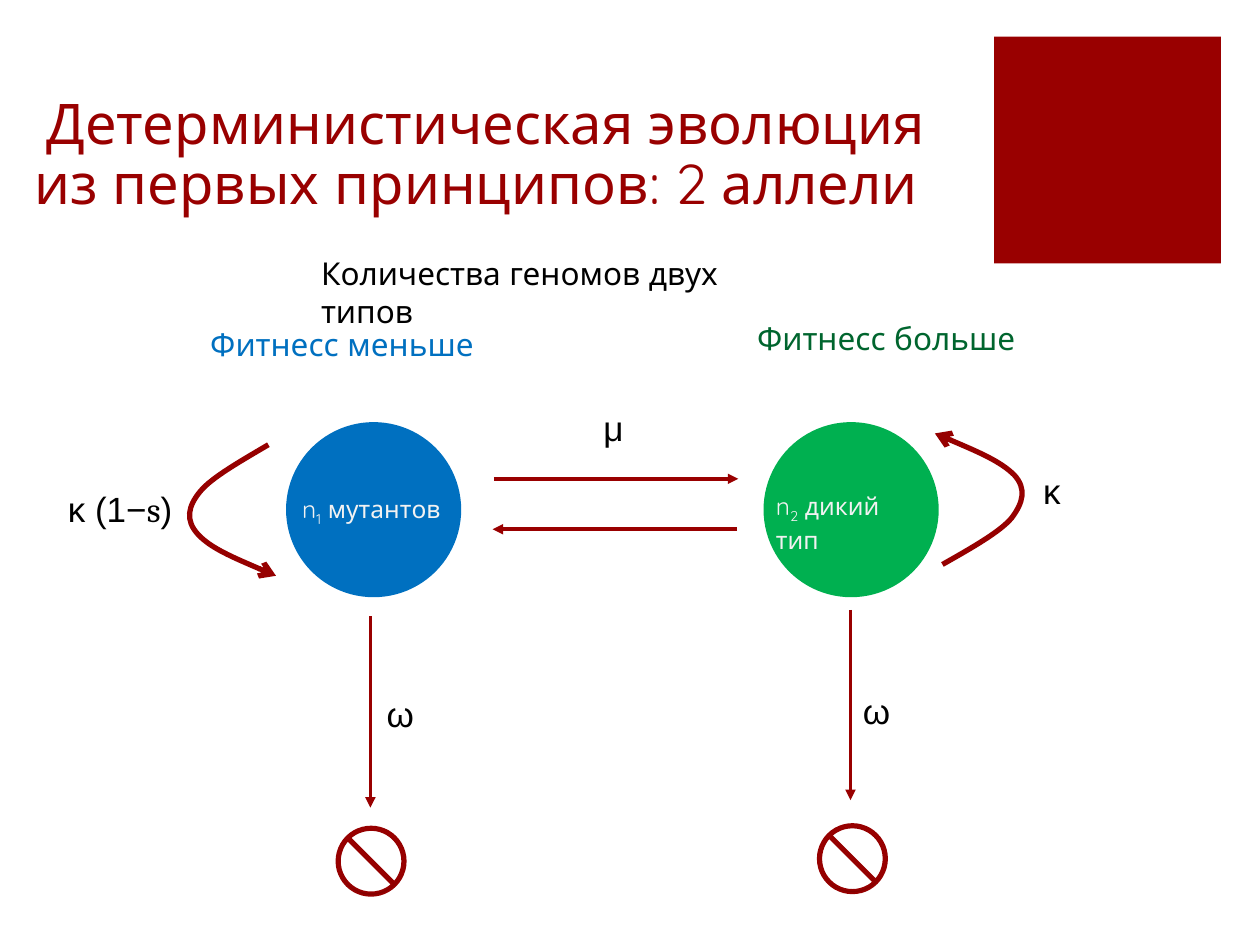
from typing import NamedTuple

from lxml import etree
from pptx import Presentation
from pptx.dml.color import RGBColor
from pptx.enum import shapes, text
from pptx.oxml.ns import qn
from pptx.util import Inches, Pt

HEX = {"red": "990000", "dark": "960000", "deep": "830000", "blue": "0070C0",
       "green": "00B050", "forest": "00652E", "black": "000000",
       "pale": "F2F2F2"}
KIND = shapes.MSO_SHAPE


class Run(NamedTuple):
    words: str
    font: str = ""
    base: int = 0


class Label(NamedTuple):
    box: tuple
    runs: list
    size: int
    color: str
    font: str


class Arrow(NamedTuple):
    start: tuple
    end: tuple


class Disc(NamedTuple):
    left: float
    color: str


HEAD, SMALL, SIGN = (18, "Quicksand"), (14, "Quicksand"), (20, "Arial")

LABELS = [
    Label((1.57, 2.53, 2.45, 0.4), [Run("Фитнесс меньше")],
          HEAD[0], "blue", HEAD[1]),
    Label((5.91, 2.48, 2.38, 0.4), [Run("Фитнесс больше")],
          HEAD[0], "forest", HEAD[1]),
    Label((2.45, 1.97, 4.1, 0.4), [Run("Количества геномов двух типов")],
          HEAD[0], "black", HEAD[1]),
    Label((2.3, 3.87, 1.35, 0.34),
          [Run("n"), Run("1", base=-25), Run(" мутантов")],
          SMALL[0], "pale", SMALL[1]),
    Label((6.06, 3.85, 1.4, 0.34),
          [Run("n"), Run("2", base=-25), Run(" дикий тип")],
          SMALL[0], "pale", SMALL[1]),
    Label((0.44, 3.82, 1.08, 0.44),
          [Run("κ (1−"), Run("s", "Cambria"), Run(")")],
          SIGN[0], "black", SIGN[1]),
] + [
    Label(box, [Run(sign)], SIGN[0], "black", SIGN[1])
    for sign, box in [("μ", (4.69, 3.18, 0.43, 0.44)),
                      ("ω", (6.75, 5.42, 0.7, 0.44)),
                      ("ω", (2.97, 5.45, 0.7, 0.44)),
                      ("κ", (8.18, 3.68, 0.36, 0.44))]
]
ARROWS = [Arrow((3.92, 3.8), (5.86, 3.8)), Arrow((5.85, 4.2), (3.91, 4.2)),
          Arrow((2.94, 4.89), (2.94, 6.41)), Arrow((6.75, 4.84), (6.75, 6.35))]
DISCS = [Disc(2.27, "blue"), Disc(6.06, "green")]
STOPS = [(2.67, 6.56), (6.49, 6.54)]
# Each loop: a start point, then three points for every Bézier segment.
LOOPS = [
    [(7.42, 3.44), (7.68, 3.55), (7.94, 3.66), (8.05, 3.77), (8.15, 3.88),
     (8.12, 3.99), (8.03, 4.11), (7.94, 4.22), (7.71, 4.35), (7.48, 4.48)],
    [(2.19, 4.57), (1.93, 4.46), (1.67, 4.35), (1.57, 4.24), (1.47, 4.13),
     (1.49, 4.02), (1.59, 3.9), (1.68, 3.79), (1.91, 3.66), (2.13, 3.53)],
]


def rgb(name: str) -> RGBColor:
    return RGBColor.from_string(HEX[name])


def write(frame, runs: list, *, size: int, color: str, font: str):
    """Fill the first paragraph of a text frame and return it."""
    frame.word_wrap = True
    para = frame.paragraphs[0]
    para.alignment = text.PP_ALIGN.LEFT
    for item in runs:
        run = para.add_run()
        run.text = item.words
        run.font.name = item.font or font
        run.font.size = Pt(size)
        run.font.color.rgb = rgb(color)
        if item.base:
            run.font._element.set("baseline", str(item.base * 1000))
    return para


def add_title(slide) -> None:
    title = slide.shapes.title
    title.left, title.top = Inches(0.17), Inches(0.45)
    title.width, title.height = Inches(7.88), Inches(1.87)
    frame = title.text_frame
    frame.auto_size = text.MSO_AUTO_SIZE.NONE
    frame.vertical_anchor = text.MSO_ANCHOR.BOTTOM
    frame.margin_bottom = Inches(0.6)
    frame.margin_right = Inches(0.2)
    words = "Детерминистическая эволюция из первых принципов: 2 аллели"
    para = write(frame, [Run(words)], size=32, color="red", font="Quicksand")
    para.line_spacing = 0.9
    para._p.get_or_add_pPr().set("indent", str(Inches(0.1)))


def add_label(slide, label: Label) -> None:
    box = slide.shapes.add_textbox(*map(Inches, label.box))
    write(box.text_frame, label.runs, size=label.size, color=label.color,
          font=label.font)
    box.text_frame.auto_size = text.MSO_AUTO_SIZE.SHAPE_TO_FIT_TEXT


def add_solid(slide, kind, left: float, top: float, side: float, color: str):
    shape = slide.shapes.add_shape(kind, *map(Inches, (left, top, side, side)))
    shape.shadow.inherit = False
    shape.fill.solid()
    shape.fill.fore_color.rgb = rgb(color)
    shape.line.fill.background()
    return shape


def add_stop(slide, left: float, top: float) -> None:
    sign = add_solid(slide, KIND.NO_SYMBOL, left, top, 0.55, "red")
    sign.adjustments[0] = 0.05
    sign.fill.gradient()
    sign.fill.gradient_angle = 90
    for stop, (spot, color) in zip(sign.fill.gradient_stops,
                                   [(0, "deep"), (0.35, "red")]):
        stop.position = spot
        stop.color.rgb = rgb(color)
    sign.line.color.rgb = rgb("dark")
    sign.line.width = Pt(1)


def set_line(shape, color: str, width: float, end: str, kind: str) -> None:
    """Style a line and put an arrowhead on its headEnd or tailEnd."""
    shape.line.color.rgb = rgb(color)
    shape.line.width = Pt(width)
    etree.SubElement(shape.line._get_or_add_ln(), qn("a:" + end), type=kind)


def add_arrow(slide, arrow: Arrow) -> None:
    line = slide.shapes.add_connector(
        shapes.MSO_CONNECTOR.STRAIGHT,
        *map(Inches, arrow.start + arrow.end))
    set_line(line, "red", 2, "tailEnd", "triangle")
    etree.SubElement(line._element.spPr, qn("a:effectLst"))


def add_loop(slide, points: list) -> None:
    """Draw an open curve, joining straight steps by threes into Béziers."""
    first, *rest = [tuple(map(Inches, spot)) for spot in points]
    maker = slide.shapes.build_freeform(*first)
    maker.add_line_segments(rest, close=False)
    curve = maker.convert_to_shape()
    steps = list(curve._element.iter(qn("a:lnTo")))
    for i in range(0, len(steps), 3):
        bend = etree.Element(qn("a:cubicBezTo"))
        steps[i].addprevious(bend)
        for step in steps[i:i + 3]:
            bend.append(step[0])
            step.getparent().remove(step)
    curve.shadow.inherit = False
    curve.fill.background()
    set_line(curve, "dark", 3, "headEnd", "arrow")


def main() -> None:
    deck = Presentation()
    deck.slide_width, deck.slide_height = Inches(10), Inches(7.5)
    slide = deck.slides.add_slide(deck.slide_layouts[5])
    add_solid(slide, KIND.RECTANGLE, 7.89, 0.29, 1.8, "red")
    add_title(slide)
    for disc in DISCS:
        add_solid(slide, KIND.OVAL, disc.left, 3.35, 1.39, disc.color)
    for arrow in ARROWS:
        add_arrow(slide, arrow)
    for loop in LOOPS:
        add_loop(slide, loop)
    for spot in STOPS:
        add_stop(slide, *spot)
    for label in LABELS:
        add_label(slide, label)
    deck.save("out.pptx")


if __name__ == "__main__":
    main()
